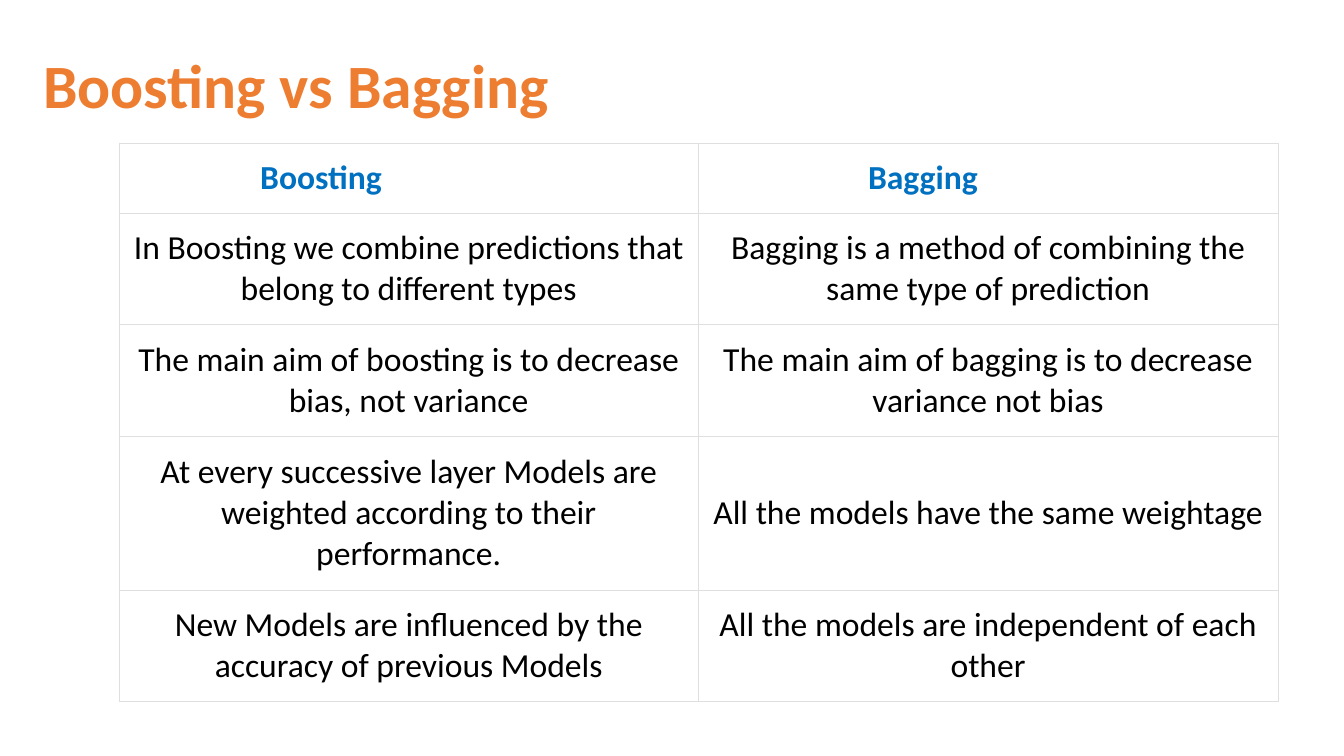
from dataclasses import dataclass

from lxml import etree
from pptx import Presentation
from pptx import util as u
from pptx.dml import color
from pptx.enum import text
from pptx.oxml import ns

FONT = "Calibri"
ORANGE, BLUE, BLACK = "ED7D31", "0070C0", "000000"
WHITE, GREY = "FFFFFF", "DFDFDF"
COLUMN_WIDTH = 14.6
SIDE_INSET, EDGE_INSET = 0.25, 0.36
BORDER_WIDTH = 0.23


@dataclass
class Comparison:
    boosting: str
    bagging: str
    height: float


COMPARISONS = [
    Comparison("In Boosting we combine predictions that belong to different types",
               "Bagging is a method of combining the same type of prediction", 2.82),
    Comparison("The main aim of boosting is to decrease bias, not variance",
               "The main aim of bagging is to decrease variance not bias", 2.82),
    Comparison("At every successive layer Models are weighted according to their performance.",
               "All the models have the same weightage", 3.86),
    Comparison("New Models are influenced by the accuracy of previous Models",
               "All the models are independent of each other", 2.82),
]
HEADINGS = Comparison("Boosting", "Bagging", 1.76)
# Extra right inset that moves each heading left of its column centre
HEADING_SHIFTS = (4.42, 3.28)


def rgb(code: str) -> color.RGBColor:
    return color.RGBColor.from_string(code)


def write(paragraph, wording: str, size: float, code: str, bold: bool) -> None:
    run = paragraph.add_run()
    run.text = wording
    for name, value in {"name": FONT, "size": u.Pt(size), "bold": bold}.items():
        setattr(run.font, name, value)
    run.font.color.rgb = rgb(code)


def draw_borders(cell) -> None:
    properties = cell._tc.get_or_add_tcPr()
    for index, side in enumerate(("lnL", "lnR", "lnT", "lnB")):
        line = etree.Element(ns.qn(f"a:{side}"), w=str(u.Pt(BORDER_WIDTH)))
        fill = etree.SubElement(line, ns.qn("a:solidFill"))
        etree.SubElement(fill, ns.qn("a:srgbClr"), val=GREY)
        properties.insert(index, line)


def fill_cell(cell, wording: str, code: str, bold: bool, shift: float) -> None:
    layout = {
        "margin_left": u.Cm(SIDE_INSET),
        "margin_right": u.Cm(SIDE_INSET + shift),
        "margin_top": u.Cm(EDGE_INSET),
        "margin_bottom": u.Cm(EDGE_INSET),
        "vertical_anchor": text.MSO_ANCHOR.MIDDLE,
    }
    for name, value in layout.items():
        setattr(cell, name, value)
    cell.fill.solid()
    cell.fill.fore_color.rgb = rgb(WHITE)
    draw_borders(cell)
    paragraph = cell.text_frame.paragraphs[0]
    paragraph.alignment = text.PP_ALIGN.CENTER
    write(paragraph, wording, 24, code, bold)


def add_title(slide, wording: str) -> None:
    title = slide.shapes.add_textbox(u.Cm(0.84), u.Cm(0.38), u.Cm(29.21), u.Cm(3.68))
    frame = title.text_frame
    frame.word_wrap = True
    frame.vertical_anchor = text.MSO_ANCHOR.MIDDLE
    frame.paragraphs[0].line_spacing = 0.9
    write(frame.paragraphs[0], wording, 44, ORANGE, True)


def add_comparison_table(slide) -> None:
    rows = [HEADINGS, *COMPARISONS]
    height = sum(row.height for row in rows)
    table = slide.shapes.add_table(len(rows), 2, u.Cm(3), u.Cm(3.6),
                                   u.Cm(2 * COLUMN_WIDTH), u.Cm(height)).table
    table.horz_banding = False
    for column in table.columns:
        column.width = u.Cm(COLUMN_WIDTH)
    for r, row in enumerate(rows):
        table.rows[r].height = u.Cm(row.height)
        heading = row is HEADINGS
        for c, wording in enumerate((row.boosting, row.bagging)):
            fill_cell(table.cell(r, c), wording, BLUE if heading else BLACK,
                      heading, HEADING_SHIFTS[c] if heading else 0)


def main() -> None:
    deck = Presentation()
    deck.slide_width, deck.slide_height = u.Cm(33.87), u.Cm(19.05)
    slide = deck.slides.add_slide(deck.slide_layouts[6])
    add_title(slide, "Boosting vs Bagging")
    add_comparison_table(slide)
    deck.save("out.pptx")


if __name__ == "__main__":
    main()
